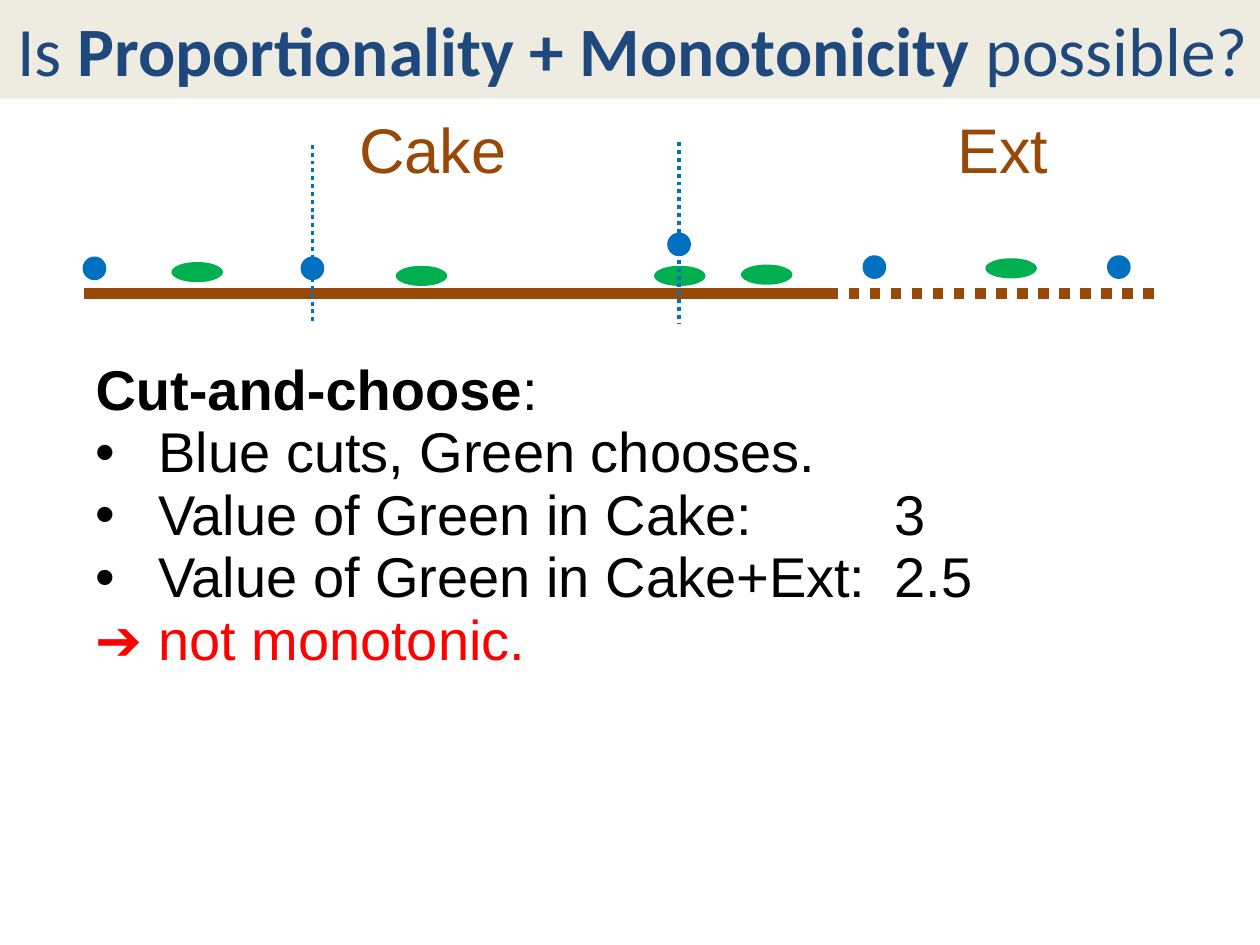
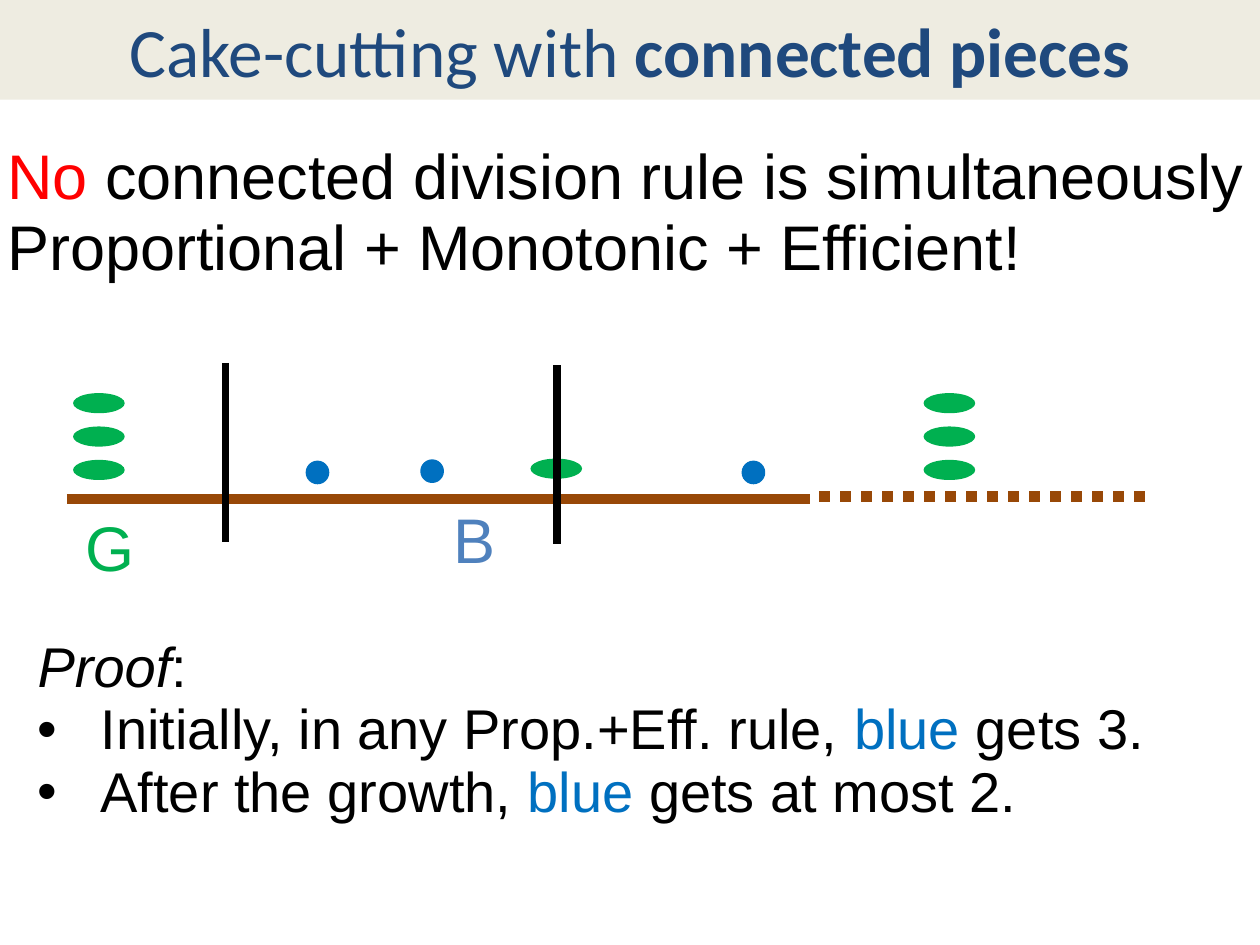
import pptx
import pptx.util
import pptx.dml.color
import pptx.enum.dml
import pptx.enum.shapes
import pptx.enum.text
import pptx.oxml.ns
import lxml.etree

Inches, Pt = pptx.util.Inches, pptx.util.Pt
Align = pptx.enum.text.PP_ALIGN
AutoSize = pptx.enum.text.MSO_AUTO_SIZE
qn = pptx.oxml.ns.qn

BAND, NAVY, BROWN = "EEECE1", "1F497D", "984807"
BLUE, GREEN, RED, BLACK, STEEL = "0070C0", "00B050", "FF0000", "000000", "4F81BD"
BLUE_SIZE, GREEN_SIZE = (0.16, 0.16), (0.41, 0.16)
HANGING = 0.5
VALUE_TAB = 6.34

# Runs are (text, style letters, colour); paragraphs are (bulleted, runs).
SLIDES = [
    {
        "title": [("Is ", "", NAVY), ("Proportionality + Monotonicity", "b", NAVY),
                  (" possible?", "", NAVY)],
        "band": (-0.04, -0.01, 10.12, 0.79),
        "cake": (0.67, 6.57, 2.33),
        "extension": (6.57, 9.17, 2.33),
        "blue": [(0.67, 2.05), (2.4, 2.05), (5.31, 1.86), (6.86, 2.04), (8.8, 2.04)],
        "green": [(1.36, 2.08), (3.14, 2.11), (5.19, 2.11), (5.88, 2.1), (7.82, 2.05)],
        "cuts": [(2.48, 1.15, 2.57), (5.39, 1.13, 2.57)],
        "cut_style": (BLUE, 2.25, True),
        "labels": [("Cake", BROWN, (2.72, 0.88, 1.43, 0.66), True),
                   ("Ext", BROWN, (7.08, 0.88, 1.76, 0.66), True)],
        "texts": [
            ((0.66, 2.81, 8.52, 2.61), 32, [
                (False, [("Cut-and-choose", "b", BLACK), (":", "", BLACK)]),
                (True, [("Blue cuts, Green chooses.", "", BLACK)]),
                (True, [("Value of Green in Cake:\t3", "", BLACK)]),
                (True, [("Value of Green in Cake+Ext:\t2.5", "", BLACK)]),
                (False, [("➔ not monotonic.", "", RED)]),
            ]),
        ],
    },
    {
        "title": [("Cake-cutting with ", "", NAVY), ("connected pieces", "b", NAVY)],
        "band": (0, 0, 10, 0.79),
        "cake": (0.53, 6.43, 3.96),
        "extension": (6.5, 9.09, 3.94),
        "blue": [(2.44, 3.67), (3.35, 3.66), (5.9, 3.67)],
        "green": [(x, y) for x in (0.58, 7.33) for y in (3.12, 3.385, 3.65)] + [(4.21, 3.64)],
        "cuts": [(1.79, 2.88, 4.3), (4.42, 2.9, 4.32)],
        "cut_style": (BLACK, 4.5, False),
        "labels": [("G", GREEN, (0.58, 4.04, 0.59, 0.66), False),
                   ("B", STEEL, (3.5, 3.98, 0.54, 0.66), False)],
        "texts": [
            ((-0.04, 1.09, 10.04, 1.23), 36, [
                (False, [("No", "", RED),
                         (" connected division rule is simultaneously", "", BLACK),
                         "break",
                         ("Proportional + Monotonic + Efficient!", "", BLACK)]),
            ]),
            ((0.2, 5.01, 9.21, 1.6), 32, [
                (False, [("Proof", "i", BLACK), (":", "", BLACK)]),
                (True, [("Initially, in any Prop.+Eff. rule, ", "", BLACK),
                        ("blue ", "", BLUE), ("gets 3.", "", BLACK)]),
                (True, [("After the growth, ", "", BLACK),
                        ("blue ", "", BLUE), ("gets at most 2.", "", BLACK)]),
            ]),
        ],
    },
]


def rgb(value):
    """Turn a hex string into a colour."""
    return pptx.dml.color.RGBColor.from_string(value)


def inches(box):
    """Turn a tuple of numbers into lengths."""
    return [Inches(length) for length in box]


def add_runs(paragraph, runs, font_name, size):
    """Write styled runs, and line breaks, into a paragraph."""
    for item in runs:
        if item == "break":
            paragraph.add_line_break()
            continue
        text, style, colour = item
        run = paragraph.add_run()
        run.text = text
        run.font.name, run.font.size = font_name, Pt(size)
        run.font.bold, run.font.italic = "b" in style, "i" in style
        run.font.color.rgb = rgb(colour)


def add_bullet(paragraph):
    """Give a paragraph a hanging bullet and a tab stop for its value."""
    properties = paragraph._p.get_or_add_pPr()
    properties.set("marL", str(Inches(HANGING)))
    properties.set("indent", str(-Inches(HANGING)))
    colour = lxml.etree.SubElement(properties, qn("a:buClr"))
    lxml.etree.SubElement(colour, qn("a:srgbClr"), val=BLACK)
    lxml.etree.SubElement(properties, qn("a:buFont"), typeface="Arial")
    lxml.etree.SubElement(properties, qn("a:buChar"), char="•")
    tabs = lxml.etree.SubElement(properties, qn("a:tabLst"))
    lxml.etree.SubElement(tabs, qn("a:tab"), pos=str(Inches(VALUE_TAB)), algn="l")


def add_text(slide, box, size, paragraphs, align=Align.LEFT, wrap=True):
    """Add a text box of plain and bulleted paragraphs."""
    frame = slide.shapes.add_textbox(*inches(box)).text_frame
    frame.word_wrap = wrap
    frame.auto_size = AutoSize.SHAPE_TO_FIT_TEXT
    for index, (bulleted, runs) in enumerate(paragraphs):
        paragraph = frame.add_paragraph() if index else frame.paragraphs[0]
        paragraph.alignment, paragraph.line_spacing = align, 0.93
        if bulleted:
            add_bullet(paragraph)
        add_runs(paragraph, runs, "Arial", size)


def add_line(slide, start, end, colour, width, dotted=False):
    """Draw a straight line, solid or dotted."""
    line = slide.shapes.add_connector(
        pptx.enum.shapes.MSO_CONNECTOR.STRAIGHT, *inches(start + end))
    line.line.color.rgb, line.line.width = rgb(colour), Pt(width)
    if dotted:
        line.line.dash_style = pptx.enum.dml.MSO_LINE.ROUND_DOT
    lxml.etree.SubElement(line._element.spPr, qn("a:effectLst"))


def add_marks(slide, places, size, colour, outline):
    """Draw one player's valued points as equal ellipses."""
    for place in places:
        mark = slide.shapes.add_shape(
            pptx.enum.shapes.MSO_SHAPE.OVAL, *inches(place + size))
        mark.shadow.inherit = False
        mark.fill.solid()
        mark.fill.fore_color.rgb = rgb(colour)
        if outline:
            mark.line.color.rgb, mark.line.width = rgb(colour), Pt(outline)
        else:
            mark.line.fill.background()


def format_title(title, box, runs):
    """Turn the title placeholder into the band at the top."""
    title.left, title.top, title.width, title.height = inches(box)
    title.fill.solid()
    title.fill.fore_color.rgb = rgb(BAND)
    frame = title.text_frame
    frame.word_wrap, frame.auto_size = True, AutoSize.NONE
    frame.vertical_anchor = pptx.enum.text.MSO_ANCHOR.MIDDLE
    frame.paragraphs[0].alignment = Align.CENTER
    add_runs(frame.paragraphs[0], runs, "Calibri", 39.6)


def build_slide(deck, content):
    """Build one slide: title, divided cake, labels and text."""
    slide = deck.slides.add_slide(deck.slide_layouts[5])
    format_title(slide.shapes.title, content["band"], content["title"])
    for part, dotted in (("cake", False), ("extension", True)):
        left, right, y = content[part]
        add_line(slide, (left, y), (right, y), BROWN, 6, dotted)
    add_marks(slide, content["blue"], BLUE_SIZE, BLUE, 2)
    add_marks(slide, content["green"], GREEN_SIZE, GREEN, 0)
    for x, top, bottom in content["cuts"]:
        add_line(slide, (x, top), (x, bottom), *content["cut_style"])
    for label, colour, box, centred in content["labels"]:
        add_text(slide, box, 36, [(False, [(label, "", colour)])],
                 Align.CENTER if centred else Align.LEFT, wrap=centred)
    for box, size, paragraphs in content["texts"]:
        add_text(slide, box, size, paragraphs)


deck = pptx.Presentation()
deck.slide_width, deck.slide_height = Inches(10), Inches(7.5)
for content in SLIDES:
    build_slide(deck, content)
deck.save("out.pptx")
